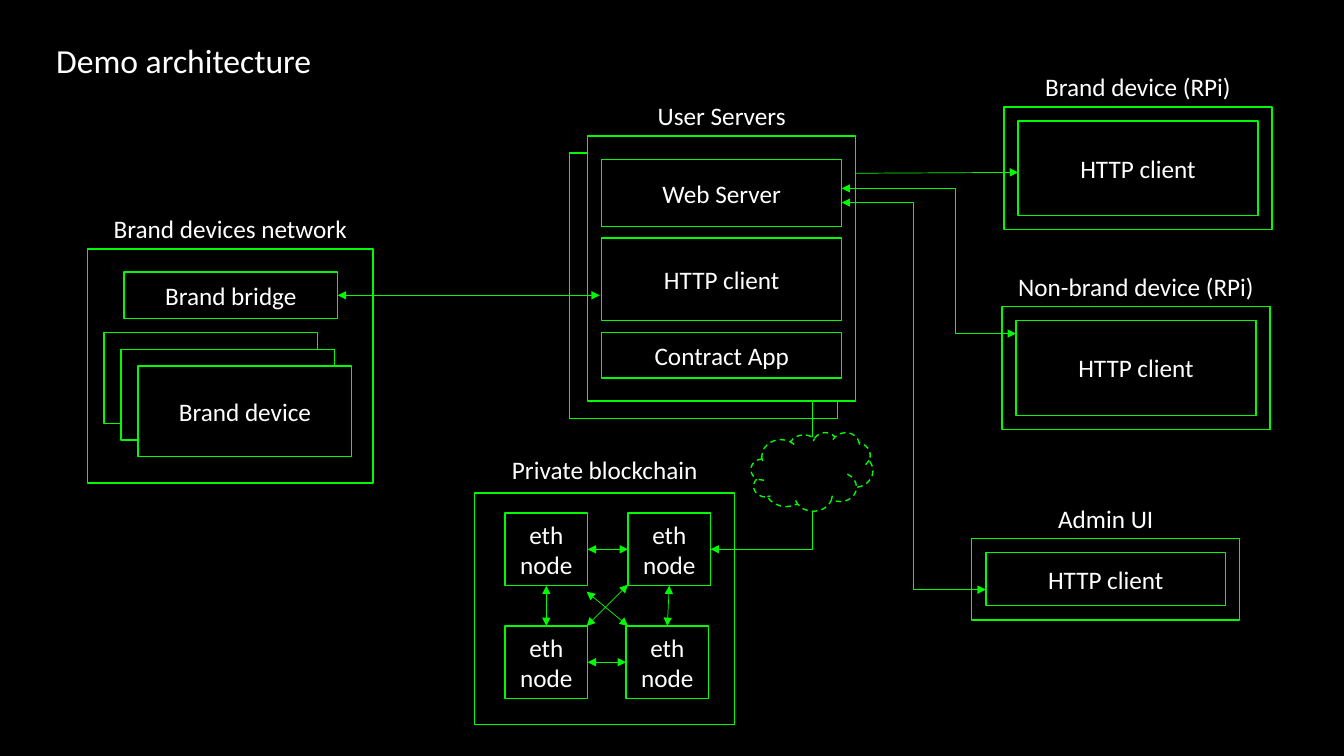
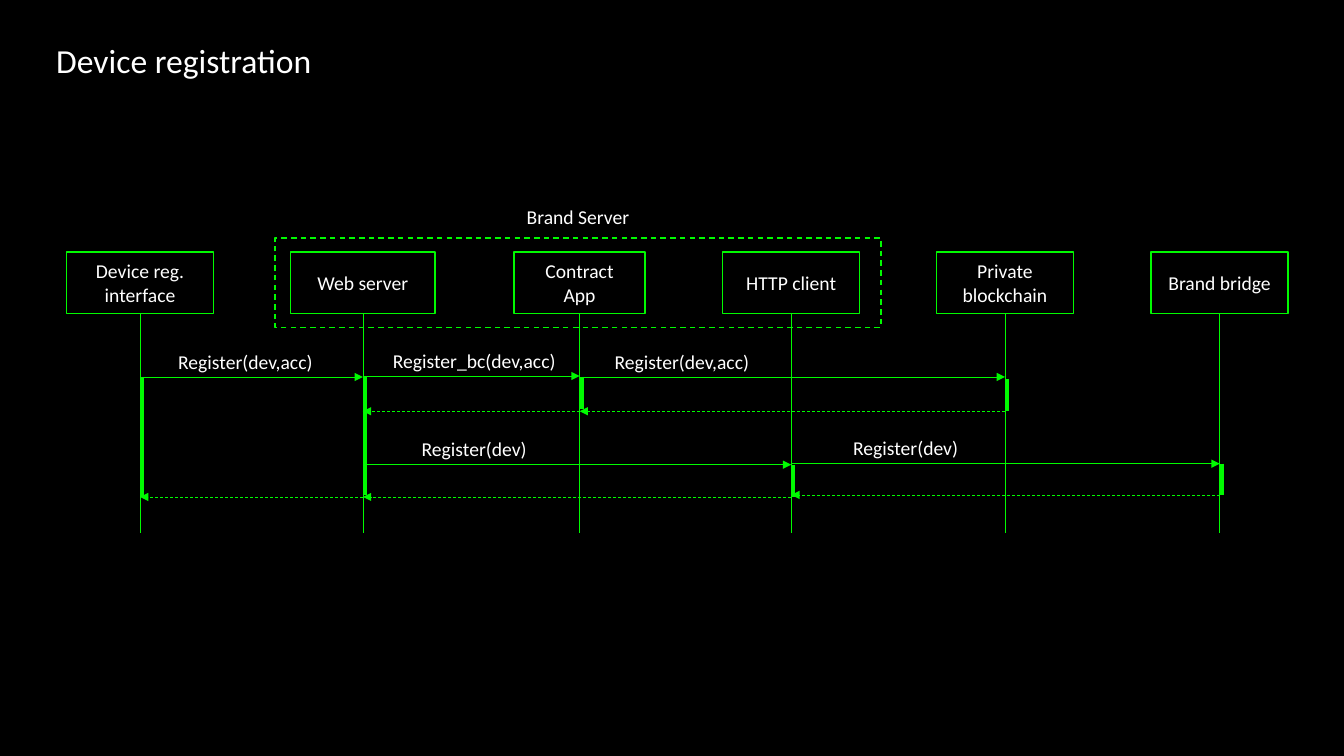
from collections import namedtuple
from dataclasses import dataclass

from lxml import etree
from pptx import Presentation
from pptx.dml.color import RGBColor
from pptx.enum.dml import MSO_LINE
from pptx.enum.shapes import MSO_CONNECTOR, MSO_SHAPE
from pptx.enum.text import MSO_ANCHOR, PP_ALIGN
from pptx.oxml.ns import qn
from pptx.util import Inches, Pt

RECT, CLOUD = MSO_SHAPE.RECTANGLE, MSO_SHAPE.CLOUD
STRAIGHT, ELBOW = MSO_CONNECTOR.STRAIGHT, MSO_CONNECTOR.ELBOW
LEFT, CENTER, MIDDLE = PP_ALIGN.LEFT, PP_ALIGN.CENTER, MSO_ANCHOR.MIDDLE
DASH = MSO_LINE.DASH
TOP_SIDE, LEFT_SIDE, BOTTOM_SIDE, RIGHT_SIDE = range(4)

Side = namedtuple("Side", "sp site")


@dataclass(frozen=True)
class Theme:
    font: str = "Calibri"
    ground: RGBColor = RGBColor(0, 0, 0)
    ink: RGBColor = RGBColor(0xFF, 0xFF, 0xFF)
    accent: RGBColor = RGBColor(0x00, 0xFA, 0x00)
    title: int = 24
    body: int = 18
    small: int = 14
    thin: float = 0.5
    outline: float = 1
    bar: float = 3


def grid(*cells):
    """Turn columns and rows of a tenth of an inch into lengths."""
    return [Inches(c / 10) for c in cells]


class Deck:
    def __init__(self, theme):
        self.theme = theme
        self.prs = Presentation()
        self.prs.slide_width, self.prs.slide_height = grid(133.33, 75)
        fill = self.prs.slide_master.background.fill
        fill.solid()
        fill.fore_color.rgb = theme.ground
        self.s = None

    def slide(self, title):
        self.s = self.prs.slides.add_slide(self.prs.slide_layouts[6])
        self.label(title, 4.6, 3.5, 56, 5, self.theme.title, LEFT)

    def set_text(self, sp, text, size, align=CENTER):
        tf = sp.text_frame
        tf.word_wrap = True
        tf.vertical_anchor = MIDDLE
        tf.text = text
        for p in tf.paragraphs:
            p.alignment = align
            p.font.name = self.theme.font
            p.font.size = Pt(size)
            p.font.color.rgb = self.theme.ink

    def label(self, text, x, y, w, h, size, align=CENTER):
        self.set_text(self.s.shapes.add_textbox(*grid(x, y, w, h)), text, size, align)

    def stroke(self, line, width, dash=None):
        line.color.rgb = self.theme.accent
        line.width = Pt(width)
        if dash:
            line.dash_style = dash

    def box(self, x, y, w, h, text="", size=None, kind=RECT, filled=False, dash=None):
        sp = self.s.shapes.add_shape(kind, *grid(x, y, w, h))
        sp.shadow.inherit = False
        if filled:
            sp.fill.solid()
            sp.fill.fore_color.rgb = self.theme.ground
        else:
            sp.fill.background()
        self.stroke(sp.line, self.theme.outline, dash)
        if text:
            self.set_text(sp, text, size or self.theme.body)
        return sp

    def panel(self, title, x, y, w, h, gap=4, filled=False):
        """Draw a frame with its title above it."""
        self.box(x, y, w, h, filled=filled)
        self.label(title, x, y - gap, w, 4, self.theme.body)

    def client(self, title, x, y, h, inset=1.4):
        """Draw a device panel that holds one HTTP client."""
        w = 26.6
        self.panel(title, x, y, w, h)
        self.box(x + inset, y + inset, w - 2 * inset, h - 2 * inset, "HTTP client")

    def link(self, start, end, head=False, tail=False, width=None, dash=None, kind=STRAIGHT):
        """Join two points or box sides; head and tail put arrows at start and end."""
        points = [(0, 0) if isinstance(e, Side) else e for e in (start, end)]
        c = self.s.shapes.add_connector(kind, *grid(*points[0], *points[1]))
        if isinstance(start, Side):
            c.begin_connect(*start)
        if isinstance(end, Side):
            c.end_connect(*end)
        self.stroke(c.line, width or self.theme.thin, dash)
        spPr = c.element.spPr
        ln = spPr.find(qn("a:ln"))
        for wanted, tag in ((head, "a:headEnd"), (tail, "a:tailEnd")):
            if wanted:
                etree.SubElement(ln, qn(tag), type="triangle")
        etree.SubElement(spPr, qn("a:effectLst"))
        return c

    def both(self, start, end):
        """Straight arrow with a head at each end."""
        self.link(start, end, head=True, tail=True)

    def elbow(self, start, end, bend=None):
        """Double arrow bending at a share of its width, or only once without one."""
        c = self.link(start, end, head=True, tail=True, kind=ELBOW)
        geom = c.element.spPr.find(qn("a:prstGeom"))
        if bend is None:
            geom.set("prst", "bentConnector2")
        else:
            guides = geom.find(qn("a:avLst"))
            etree.SubElement(guides, qn("a:gd"), name="adj1", fmla=f"val {round(bend * 100000)}")


def blockchain(d):
    d.panel("Private blockchain", 47.1, 48.9, 25.8, 23, gap=4.3)
    nw, ne, sw, se = [d.box(x, y, 8.2, 7.2, "eth node")
                      for x, y in ((50.1, 50.9), (62.3, 50.9), (50.1, 62.1), (62.1, 62.1))]
    for a, b in ((nw, ne), (sw, se)):
        d.both(Side(a, RIGHT_SIDE), Side(b, LEFT_SIDE))
    for a, b in ((sw, nw), (se, ne)):
        d.both(Side(a, TOP_SIDE), Side(b, BOTTOM_SIDE))
    d.both((58.2, 62.1), (62.3, 58))
    d.both((62.3, 62.1), (58.2, 58.7))
    d.elbow(Side(ne, RIGHT_SIDE), (80.6, 37.9))


def user_servers(d):
    d.panel("User Servers", 58.3, 13.5, 26.6, 26.3, filled=True)
    for text, y, h in (("Web Server", 15.8, 6.7), ("HTTP client", 23.6, 8.2),
                       ("Contract App", 33, 4.5)):
        d.box(59.7, y, 23.8, h, text)


def devices_network(d):
    d.panel("Brand devices network", 8.7, 24.7, 28.3, 23.2)
    for i, text in enumerate(("", "", "Brand device")):
        d.box(10.3 + 1.7 * i, 33 + 1.65 * i, 21.2, 9, text, filled=True)
    bridge = d.box(12.3, 27, 21.2, 4.6, "Brand bridge", filled=True)
    d.both(Side(bridge, RIGHT_SIDE), (59.5, 29.3))


def architecture(d):
    d.slide("Demo architecture")
    d.box(56.5, 15.2, 26.6, 26.3)
    d.client("Brand device (RPi)", 99.6, 10.6, 12.2)
    d.client("Non-brand device (RPi)", 99.4, 30.4, 12.2)
    d.client("Admin UI", 96.4, 53.4, 8.1)
    d.both((101, 17.1), (83.5, 17.2))
    blockchain(d)
    user_servers(d)
    d.elbow((100.8, 33.1), (83.5, 18.7), 0.35)
    d.elbow((83.5, 20.1), (97.8, 58.5), 0.5)
    d.box(74.5, 42.9, 12.1, 7.8, kind=CLOUD, filled=True, dash=DASH)
    devices_network(d)


def registration(d):
    d.slide("Device registration")
    small = d.theme.small
    device, web, contract, client, chain, bridge = 13.9, 36, 57.5, 78.5, 99.7, 121
    for text, x, w in (("Device reg. interface", device, 14.6), ("Web server", web, 14.3),
                       ("Contract\nApp", contract, 13), ("HTTP client", client, 13.6),
                       ("Private\nblockchain", chain, 13.6), ("Brand bridge", bridge, 13.6)):
        sp = d.box(x - w / 2, 25, w, 6.1, text, small)
        d.link(Side(sp, BOTTOM_SIDE), (x, 52.9))

    d.box(27.3, 23.6, 60.1, 8.9, dash=DASH)
    d.label("Brand Server", 46.5, 20.1, 21.7, 2.7, small)

    for text, left, start, end, y in (
            ("Register(dev,acc)", 13.5, device, web, 37.4),
            ("Register_bc(dev,acc)", 36.2, web, contract, 37.3),
            ("Register(dev,acc)", 56.8, contract, chain, 37.4),
            ("Register(dev)", 36.2, web, client, 46.1),
            ("Register(dev)", 79, client, bridge, 46)):
        d.link((start, y), (end, y), tail=True)
        d.label(text, left, y - 2.9, 21.7, 2.7, small)

    for start, end, y in ((chain, contract, 40.8), (contract, web, 40.8),
                          (bridge, client, 49.1), (client, web, 49.3), (web, device, 49.3)):
        d.link((start, y), (end, y), tail=True, dash=DASH)

    for x, top, bottom in ((device, 37.4, 49.3), (web, 37.4, 49.1), (contract, 37.4, 40.6),
                           (client, 46.1, 49.3), (chain, 37.6, 40.8), (bridge, 46, 49.1)):
        d.link((x + 0.2, top), (x + 0.2, bottom), width=d.theme.bar)


def main():
    d = Deck(Theme())
    architecture(d)
    registration(d)
    d.prs.save("out.pptx")


if __name__ == "__main__":
    main()
